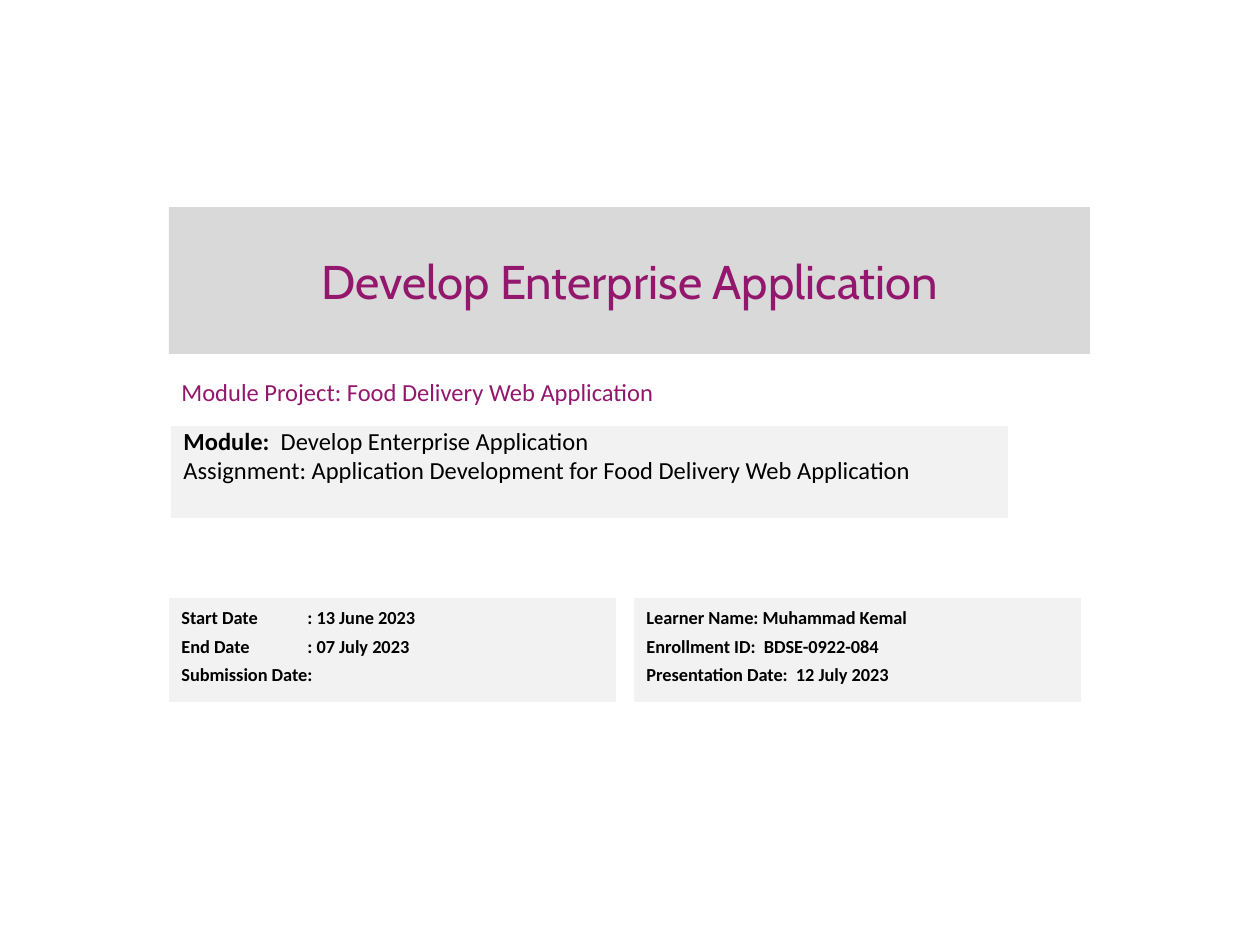
from pptx import Presentation
from pptx.dml.color import RGBColor
from pptx.enum.shapes import MSO_SHAPE
from pptx.enum.text import MSO_ANCHOR, PP_ALIGN
from pptx.util import Pt

EMU_PER_PX = 914400 / 126
COLORS = {
    "accent": "93176C",
    "text": "000000",
    "banner": "D9D9D9",
    "panel": "F2F2F2",
}


def px(length):
    return round(length * EMU_PER_PX)


class CoverSlide:
    """Builds the cover slide of a module project in one style."""

    def __init__(self, presentation):
        self.slide = presentation.slides.add_slide(presentation.slide_layouts[6])

    def color(self, name):
        return RGBColor.from_string(COLORS[name])

    def style(self, paragraph, size, color, font="Calibri", bold=None):
        paragraph.font.name = font
        paragraph.font.size = Pt(size)
        paragraph.font.color.rgb = self.color(color)
        paragraph.font.bold = bold

    def block(self, box, fill):
        block = self.slide.shapes.add_shape(MSO_SHAPE.RECTANGLE, *map(px, box))
        block.shadow.inherit = False
        block.fill.solid()
        block.fill.fore_color.rgb = self.color(fill)
        block.line.fill.background()
        return block.text_frame

    def banner(self, box, title):
        frame = self.block(box, "banner")
        frame.vertical_anchor = MSO_ANCHOR.MIDDLE
        frame.text = title
        heading = frame.paragraphs[0]
        heading.alignment = PP_ALIGN.CENTER
        self.style(heading, 27, "accent", font="Cabin")

    def subtitle(self, box, text):
        frame = self.slide.shapes.add_textbox(*map(px, box)).text_frame
        frame.word_wrap = True
        frame.vertical_anchor = MSO_ANCHOR.MIDDLE
        frame.text = text
        self.style(frame.paragraphs[0], 14, "accent")

    def panel(self, box, lines, size):
        frame = self.block(box, "panel")
        frame.vertical_anchor = MSO_ANCHOR.TOP
        for index, (strong, regular) in enumerate(lines):
            paragraph = frame.add_paragraph() if index else frame.paragraphs[0]
            paragraph.alignment = PP_ALIGN.LEFT
            paragraph.line_spacing = Pt(13.5)
            paragraph.space_before = Pt(1.5 if index else 0)
            paragraph.space_after = Pt(1.5)
            mixed = bool(strong and regular)
            self.style(paragraph, size, "text", bold=None if mixed else bool(strong))
            for text, bold in ((strong, True), (regular, False)):
                if text:
                    run = paragraph.add_run()
                    run.text = text
                    if mixed:
                        run.font.bold = bold


def main():
    presentation = Presentation()
    presentation.slide_width = px(1260)
    presentation.slide_height = px(945)
    cover = CoverSlide(presentation)

    cover.banner((169, 207, 921, 147), "Develop Enterprise Application")
    cover.subtitle((169, 362, 606, 59), "Module Project: Food Delivery Web Application")
    cover.panel(
        (171, 426, 837, 92),
        [
            ("Module: ", " Develop Enterprise Application"),
            ("", "Assignment: Application Development for Food Delivery Web Application"),
        ],
        14,
    )

    dates = ["Start Date\t: 13 June 2023", "End Date\t: 07 July 2023", "Submission Date:"]
    learner = [
        "Learner Name: Muhammad Kemal",
        "Enrollment ID:  BDSE-0922-084",
        "Presentation Date:  12 July 2023",
    ]
    for column, details in enumerate((dates, learner)):
        box = (169 + column * 465, 598, 447, 104)
        cover.panel(box, [(detail, "") for detail in details], 10.5)

    presentation.save("out.pptx")


if __name__ == "__main__":
    main()
